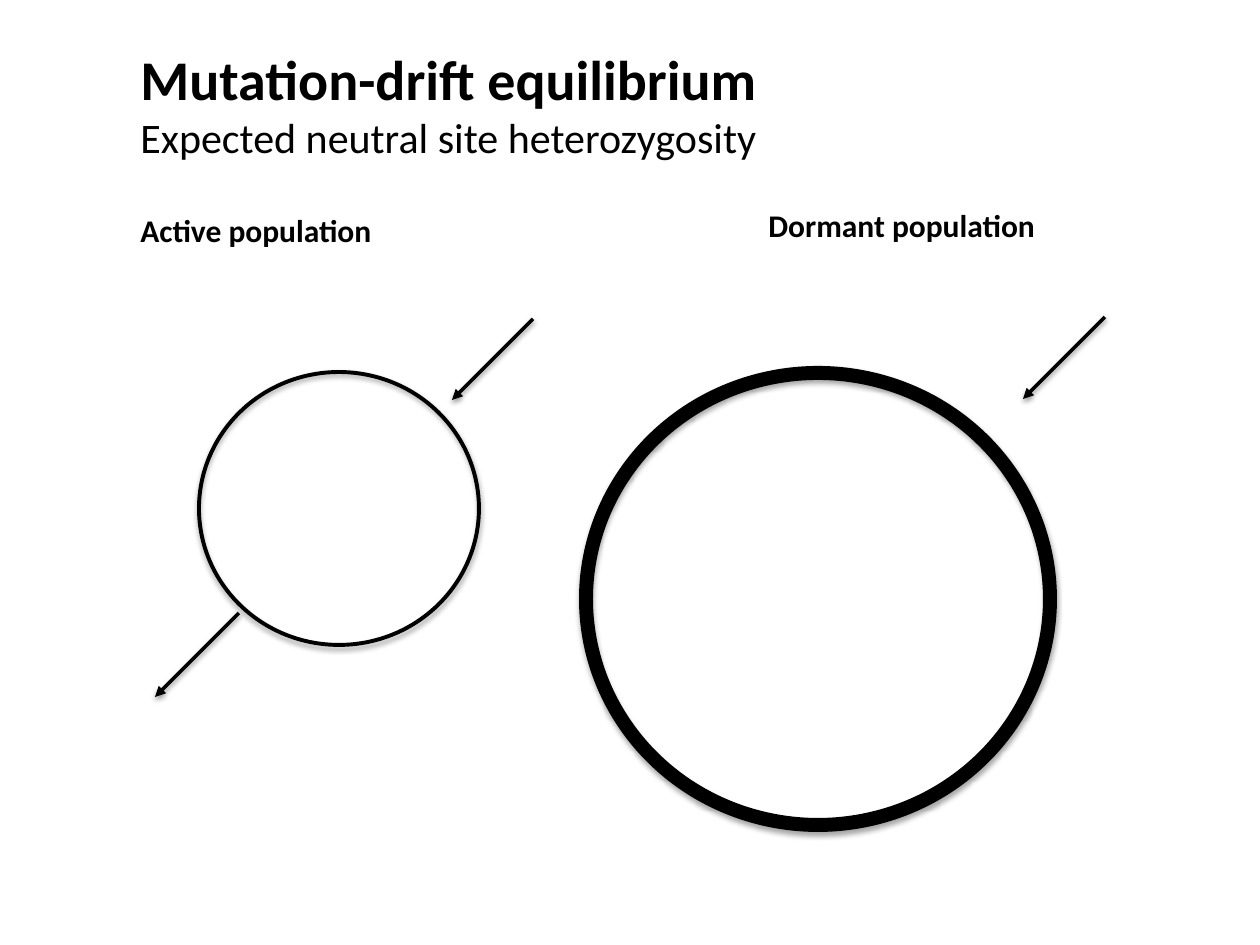
from lxml.etree import SubElement as Sub
from pptx import Presentation
from pptx.dml.color import RGBColor as Rgb
from pptx.enum.shapes import MSO_CONNECTOR as Conn, MSO_SHAPE as Kind
from pptx.enum.text import MSO_AUTO_SIZE as Auto
from pptx.oxml.ns import qn
from pptx.util import Pt

PX = 914400 // 126
HUE = {"ink": "000000", "paper": "FFFFFF"}
ink = Rgb.from_string(HUE["ink"])


def shade(shape, dist, alpha):
    """Give the shape a soft shadow straight below; alpha in percent."""
    props = shape._element.spPr
    for old in props.findall(qn("a:effectLst")):
        props.remove(old)
    glow = Sub(Sub(props, qn("a:effectLst")), qn("a:outerShdw"),
               blurRad=str(Pt(3.1)), dist=str(Pt(dist)),
               dir="5400000", rotWithShape="0")
    tone = Sub(glow, qn("a:srgbClr"), val=HUE["ink"])
    Sub(tone, qn("a:alpha"), val=str(alpha * 1000))


deck = Presentation()
deck.slide_width, deck.slide_height = 1260 * PX, 945 * PX
slide = deck.slides.add_slide(deck.slide_layouts[6])
slide.background.fill.solid()
slide.background.fill.fore_color.rgb = Rgb.from_string(HUE["paper"])
shapes = slide.shapes

# Each population: its ring, then the arrows into and out of it
pools = [
    ((199, 372, 280, 273), 2.25,
     [(533, 319, 452, 400), (239, 613, 155, 697)]),
    ((586, 373, 464, 452), 8,
     [(1105, 317, 1023, 399)]),
]
for box, width, flows in pools:
    ring = shapes.add_shape(Kind.OVAL, *[n * PX for n in box])
    ring.fill.background()
    ring.line.color.rgb = ink
    ring.line.width = Pt(width)
    shade(ring, 1.8, 35)
    for ends in flows:
        arrow = shapes.add_connector(Conn.STRAIGHT, *[n * PX for n in ends])
        arrow.line.color.rgb = ink
        arrow.line.width = Pt(2)
        Sub(arrow.line._get_or_add_ln(), qn("a:tailEnd"), type="triangle")
        shade(arrow, 1.6, 38)

# Headings: box, then (text, size, bold) for each paragraph
heads = [
    ((128, 205, 406, 50), [("Active population", 18, True)]),
    ((756, 200, 406, 50), [("Dormant population", 18, True)]),
    ((128, 38, 1010, 131), [("Mutation-drift equilibrium", 32, True),
                            ("Expected neutral site heterozygosity", 24, False)]),
]
for box, lines in heads:
    frame = shapes.add_textbox(*[n * PX for n in box]).text_frame
    frame.word_wrap = True
    frame.auto_size = Auto.SHAPE_TO_FIT_TEXT
    for i, (text, size, bold) in enumerate(lines):
        para = frame.add_paragraph() if i else frame.paragraphs[0]
        run = para.add_run()
        run.text = text
        font = run.font
        font.name, font.size, font.bold = "Calibri", Pt(size), bold
        font.color.rgb = ink

deck.save("out.pptx")
